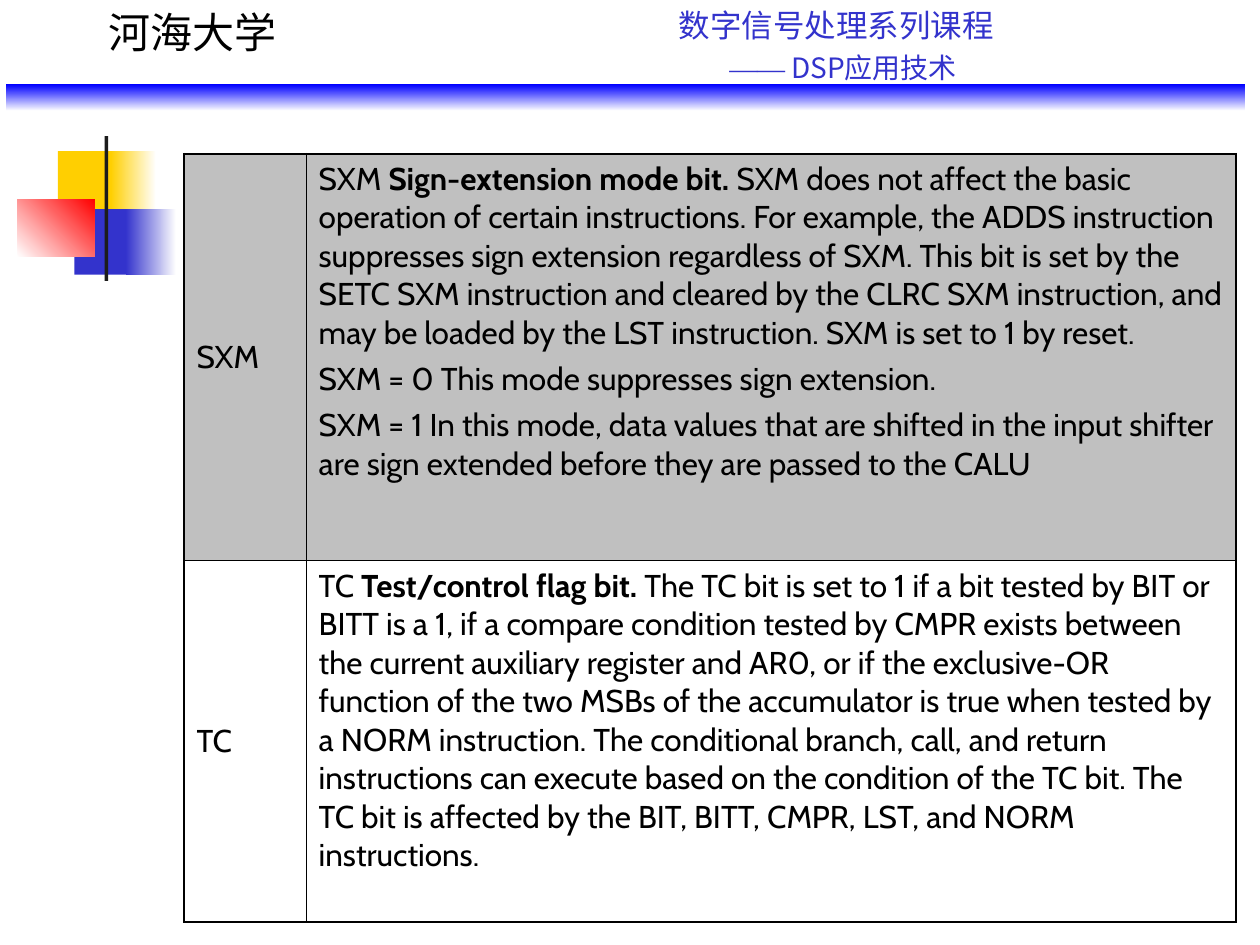
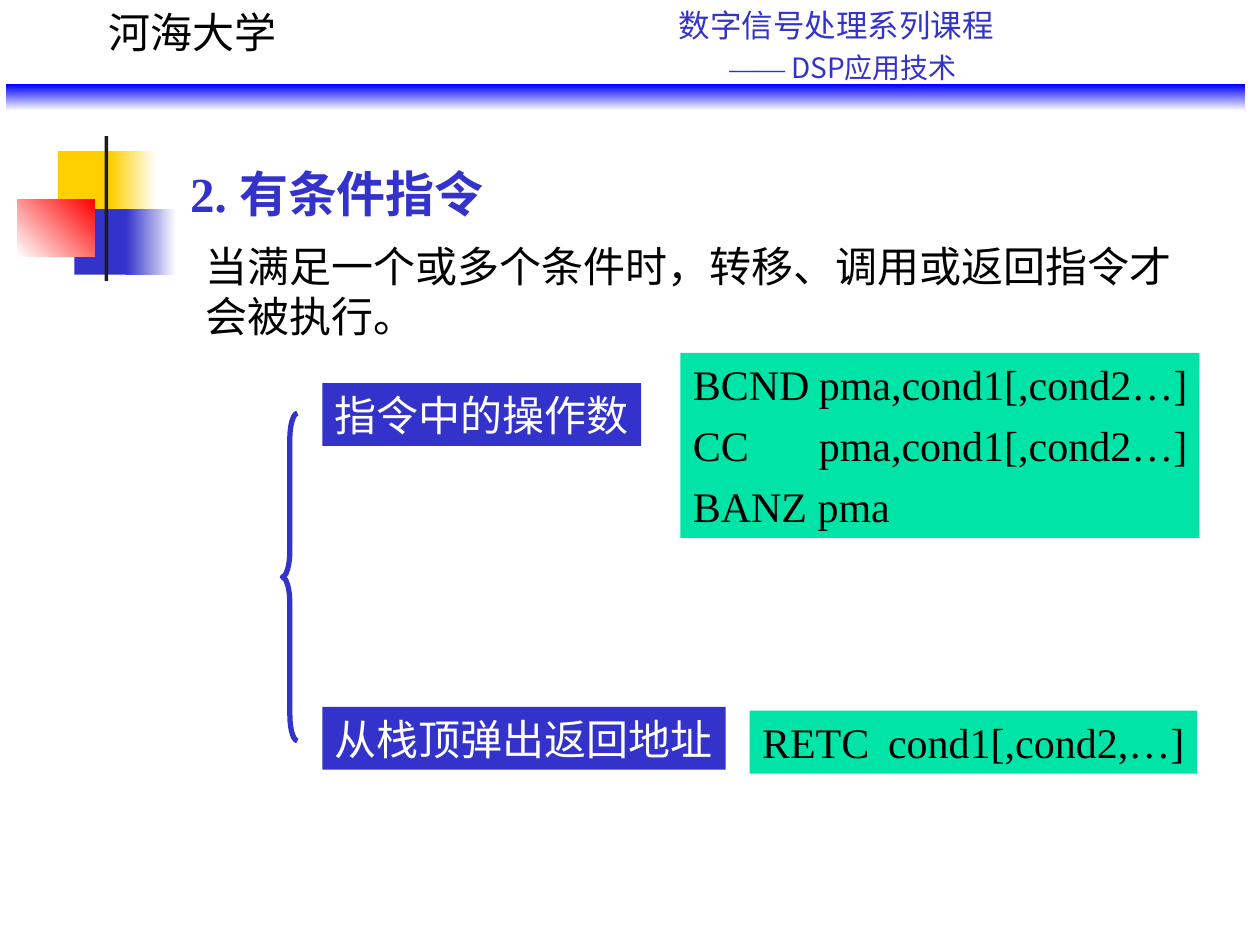
from lxml import etree
from pptx import Presentation
from pptx import util as u
from pptx.dml.color import RGBColor
from pptx.enum import shapes, text
from pptx.oxml.ns import qn

C = {"blue": "3333CC", "band": "0000FF", "yellow": "FFCF01", "red": "FF0000",
     "bar": "1C1C1C", "green": "00E4A8", "gray": "C0C0C0",
     "black": "000000", "white": "FFFFFF"}
C = {name: RGBColor.from_string(value) for name, value in C.items()}
SERIF, SANS, BODY = "Times New Roman", "Noto Sans CJK SC", "Cabin"


def write(tf, paras, size, color, font=SERIF, before=6):
    """Fill a text frame; each paragraph is a list of (text, bold, font) runs or a string."""
    for i, runs in enumerate(paras):
        p = tf.paragraphs[0] if i == 0 else tf.add_paragraph()
        p.alignment = text.PP_ALIGN.LEFT
        p.space_before = u.Pt(before)
        p.font.size, p.font.name, p.font.color.rgb = u.Pt(size), font, C[color]
        for t, bold, face in [(runs, None, None)] if isinstance(runs, str) else runs:
            r = p.add_run()
            r.text, r.font.bold, r.font.name = t, bold, face


def add_text(s, box, paras, size, color, fill=None, wrap=False):
    """Add a text box, filled if a colour is named, and return its text frame."""
    sp = s.shapes.add_textbox(*map(u.Inches, box))
    if fill:
        sp.fill.solid()
        sp.fill.fore_color.rgb = C[fill]
    tf = sp.text_frame
    tf.word_wrap = wrap
    write(tf, paras, size, color)
    return tf


prs = Presentation()
prs.slide_width, prs.slide_height = u.Inches(10), u.Inches(7.5)
table_slide = prs.slides.add_slide(prs.slide_layouts[6])
cond_slide = prs.slides.add_slide(prs.slide_layouts[5])

# Shared decoration: left, top, width, height, colours, counter-clockwise angle
decor = [
    (0.46, 1.2, 0.48, 0.52, ["yellow"], 0),
    (0.88, 1.2, 0.36, 0.52, ["yellow", "white"], 0),
    (0.59, 1.66, 0.46, 0.52, ["blue"], 0),
    (1, 1.66, 0.4, 0.52, ["blue", "white"], 0),
    (0.14, 1.58, 0.61, 0.46, ["white", "red"], 45),
    (0.83, 1.08, 0.03, 1.15, ["bar"], 0),
    (0.05, 0.67, 9.83, 0.21, ["band", "white"], 270),
]
for s in prs.slides:
    for *box, colors, angle in decor:
        sp = s.shapes.add_shape(shapes.MSO_SHAPE.RECTANGLE, *map(u.Inches, box))
        sp.shadow.inherit = False
        sp.line.fill.background()
        if len(colors) == 1:
            sp.fill.solid()
            sp.fill.fore_color.rgb = C[colors[0]]
        else:
            sp.fill.gradient()
            sp.fill.gradient_angle = angle
            for stop, color, pos in zip(sp.fill.gradient_stops, colors, (0, 1)):
                stop.color.rgb, stop.position = C[color], pos

    # Header: school and course name
    tf = add_text(s, (4, 0, 5.8, 0.75),
                  [[("数字信号处理系列课程", None, SANS)],
                   [("——", None, SERIF), (" DSP应用技术", None, SANS)]],
                  18, "blue", wrap=True)
    for p, size, before, indent in zip(tf.paragraphs, (18, 16), (4.5, 4), (1.29, 1.69)):
        p.font.size, p.space_before = u.Pt(size), u.Pt(before)
        p._p.get_or_add_pPr().set("marL", str(u.Inches(indent)))
    add_text(s, (0.76, 0, 1.53, 0.5), ["河海大学"], 24, "black")

# Slide 1: status bits table
rows = [
    ("SXM", "gray", 3.23, [
        [("SXM ", None, None), ("Sign-extension mode bit. ", True, None),
         ("SXM does not affect the basic operation of certain instructions. "
          "For example, the ADDS instruction suppresses sign extension regardless of SXM. "
          "This bit is set by the SETC SXM instruction and cleared by the CLRC SXM "
          "instruction, and may be loaded by the LST instruction. "
          "SXM is set to 1 by reset.", None, None)],
        "SXM = 0 This mode suppresses sign extension.",
        "SXM = 1 In this mode, data values that are shifted in the input shifter "
        "are sign extended before they are passed to the CALU"]),
    ("TC", "white", 2.87, [
        [("TC ", None, None), ("Test/control flag bit. ", True, None),
         ("The TC bit is set to 1 if a bit tested by BIT or BITT is a 1, if a compare "
          "condition tested by CMPR exists between the current auxiliary register and AR0, "
          "or if the exclusive-OR function of the two MSBs of the accumulator is true when "
          "tested by a NORM instruction. The conditional branch, call, and return "
          "instructions can execute based on the condition of the TC bit. The TC bit is "
          "affected by the BIT, BITT, CMPR, LST, and NORM instructions.", None, None)]]),
]
table = table_slide.shapes.add_table(2, 2, *map(u.Inches, (1.46, 1.22, 8.35, 6.1))).table
table.columns[0].width, table.columns[1].width = u.Inches(0.97), u.Inches(7.38)
for i, (bit, fill, height, description) in enumerate(rows):
    table.rows[i].height = u.Inches(height)
    for j, paras in enumerate(([bit], description)):
        cell = table.cell(i, j)
        # Thicker lines on the outer edges
        tcPr = cell._tc.get_or_add_tcPr()
        for side, outer in (("L", j == 0), ("R", j == 1), ("T", i == 0), ("B", i == 1)):
            ln = etree.SubElement(tcPr, qn("a:ln" + side), w=str(u.Pt(1.08 if outer else 0.45)))
            line_fill = etree.SubElement(ln, qn("a:solidFill"))
            etree.SubElement(line_fill, qn("a:srgbClr"), val=str(C["black"]))
        cell.fill.solid()
        cell.fill.fore_color.rgb = C[fill]
        cell.vertical_anchor = text.MSO_ANCHOR.TOP if j else text.MSO_ANCHOR.MIDDLE
        write(cell.text_frame, paras, 18, "black", BODY, 4.5)

# Slide 2: title and introduction
s = cond_slide
title = s.shapes.title
title.left, title.top, title.width, title.height = map(u.Inches, (1.41, 1.25, 4, 0.57))
tf = title.text_frame
tf.word_wrap, tf.auto_size = True, text.MSO_AUTO_SIZE.NONE
tf.vertical_anchor = text.MSO_ANCHOR.TOP
write(tf, ["2. 有条件指令"], 28, "blue", before=7)
tf.paragraphs[0].font.bold = True
add_text(s, (1.53, 1.86, 7.88, 0.9),
         ["当满足一个或多个条件时，转移、调用或返回指令才会被执行。"], 24, "black", wrap=True)

# Brace joining the two kinds of instruction
brace = s.shapes.add_shape(shapes.MSO_SHAPE.LEFT_BRACE,
                           *map(u.Inches, (2.24, 3.28, 0.12, 2.6)))
brace.shadow.inherit = False
brace.fill.background()
brace.line.color.rgb, brace.line.width = C["blue"], u.Pt(3)
brace.adjustments[0] = 1.75

# Kinds in blue, their instructions in green with operands at a one-inch tab
for box, paras, color, fill in [
    ((2.56, 3.04, 2.53, 0.5), ["指令中的操作数"], "white", "blue"),
    ((5.4, 2.8, 4.12, 1.47),
     ["BCND\tpma,cond1[,cond2…]", "CC\tpma,cond1[,cond2…]", "BANZ pma"], "black", "green"),
    ((5.95, 5.64, 3.55, 0.5), ["RETC\tcond1[,cond2,…]"], "black", "green"),
    ((2.56, 5.61, 3.2, 0.5), ["从栈顶弹出返回地址"], "white", "blue"),
]:
    tf = add_text(s, box, paras, 24, color, fill, wrap=True)
    tf.margin_right = 0
    for p in tf.paragraphs:
        tabs = etree.Element(qn("a:tabLst"))
        etree.SubElement(tabs, qn("a:tab"), pos=str(u.Inches(1)), algn="l")
        p._p.pPr.find(qn("a:defRPr")).addprevious(tabs)

prs.save("out.pptx")
